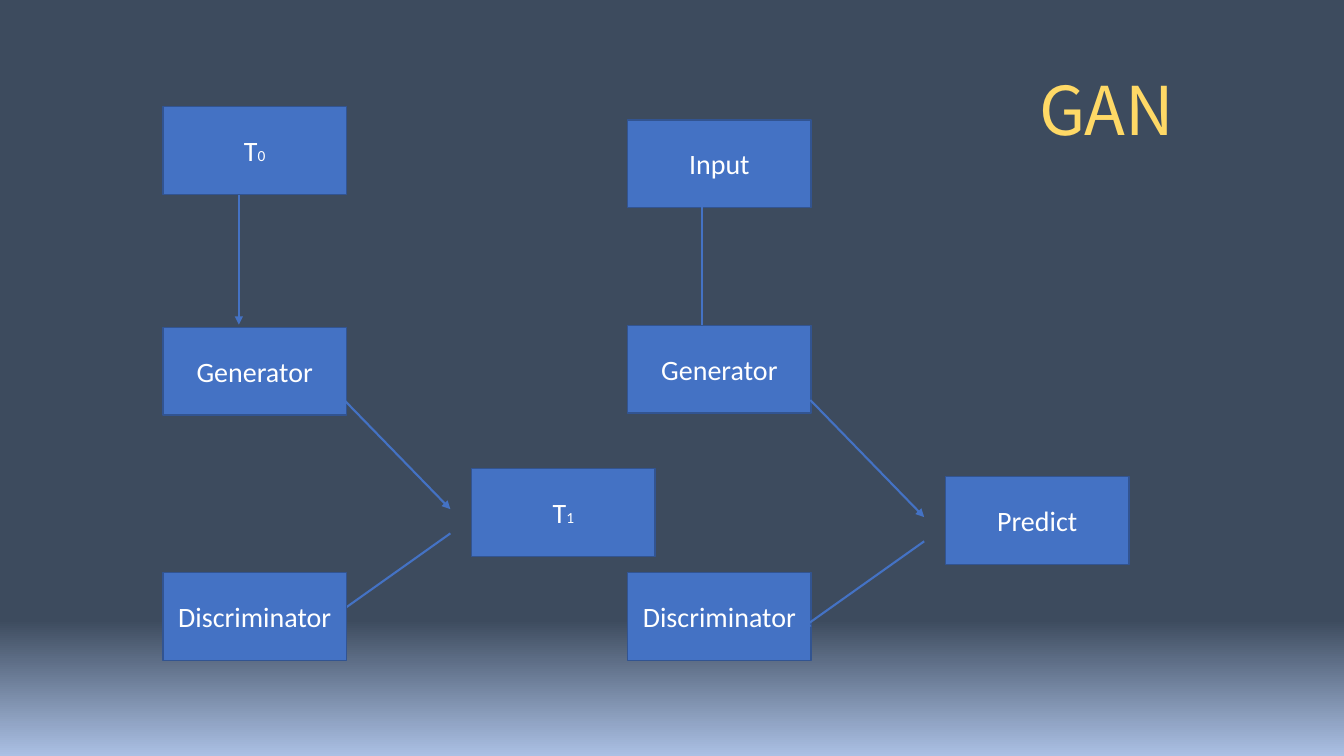
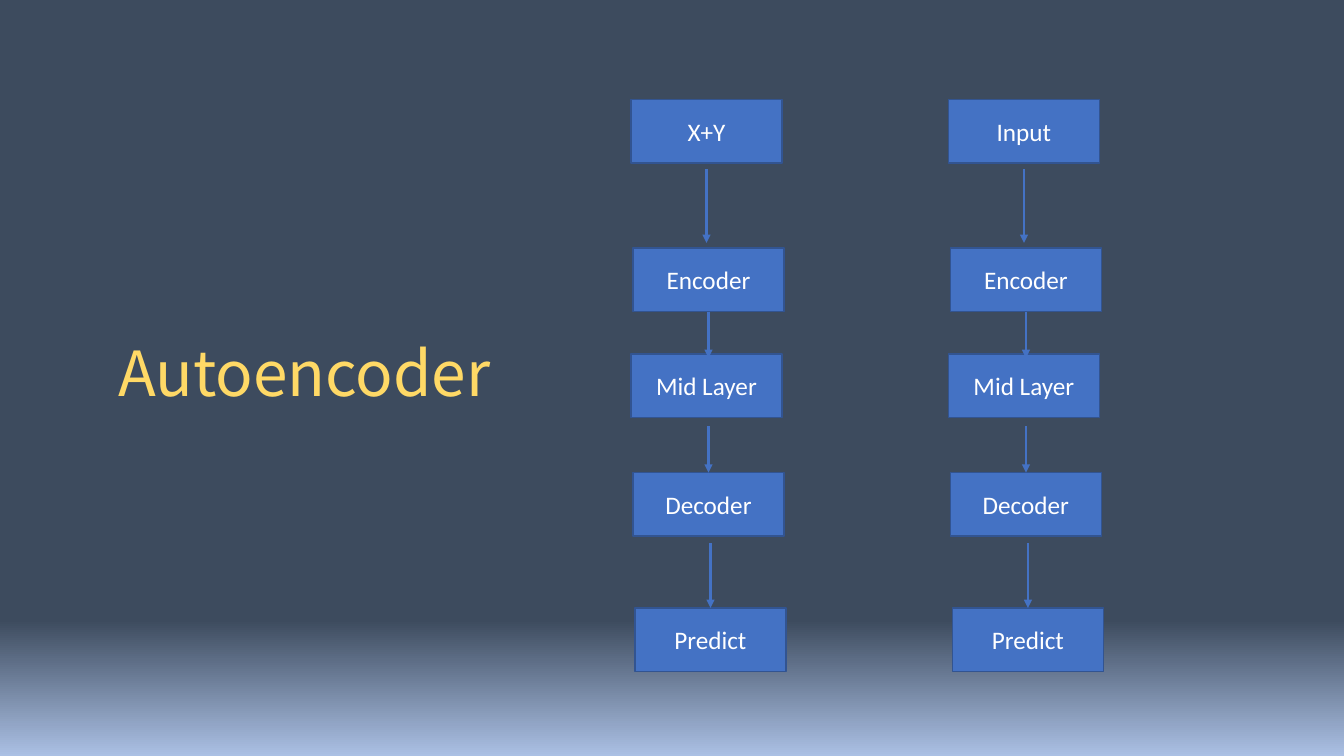
from dataclasses import dataclass
from typing import Any, Optional, Union

import lxml.etree
import pptx
import pptx.dml.color
import pptx.enum.shapes
import pptx.enum.text
import pptx.oxml.ns
import pptx.presentation
import pptx.shapes.autoshape
import pptx.shapes.connector
import pptx.slide
import pptx.util

Cm = pptx.util.Cm
Pt = pptx.util.Pt
qn = pptx.oxml.ns.qn

NIGHT, DAWN = "3D4B5E", "ABC0E4"
BLUE, EDGE, WHITE, GOLD = "4472C4", "325491", "FFFFFF", "FFD966"
LABEL_FONT, TITLE_FONT = "Calibri", "Noto Sans CJK TC"
SUBSCRIPT_SIZE = 11


@dataclass(frozen=True)
class Style:
    width: float
    height: float
    size: float


@dataclass(frozen=True)
class Block:
    label: str
    left: float
    top: float
    subscript: str = ""


@dataclass(frozen=True)
class Arrow:
    x1: float
    y1: float
    x2: float
    y2: float


@dataclass(frozen=True)
class Layer:
    label: str
    shift: float
    top: float


@dataclass(frozen=True)
class Step:
    shift: float
    top: float
    bottom: float
    source: Optional[str] = None
    target: Optional[str] = None


GAN_STYLE = Style(4.62, 2.21, 20)
TRAIN_LEFT, TEST_LEFT = 4.11, 15.82
GAN_PARTS: list[Union[Block, Arrow]] = [
    Block("Input", TEST_LEFT, 3.02),
    Arrow(17.7, 4.5, 17.7, 8.59),
    Block("Generator", TEST_LEFT, 8.2),
    Block("Predict", 23.83, 12.01),
    Arrow(20.42, 10.08, 23.29, 13.03),
    Block("Discriminator", TEST_LEFT, 14.43),
    Arrow(23.29, 13.64, 20.22, 15.82),
    Arrow(6.02, 4.09, 6.02, 8.18),
    Block("Generator", TRAIN_LEFT, 8.25),
    Block("T", 11.89, 11.81, "1"),
    Arrow(8.48, 9.88, 11.35, 12.83),
    Arrow(11.35, 13.44, 8.28, 15.62),
    Block("Discriminator", TRAIN_LEFT, 14.43),
    Block("T", TRAIN_LEFT, 2.69, "0"),
]

LAYER_STYLE = Style(3.81, 1.6, 18)
COLUMNS = {"X+Y": 15.9, "Input": 23.9}
LAYERS = [
    Layer("Encoder", 0.05, 6.25),
    Layer("Mid Layer", 0, 8.92),
    Layer("Decoder", 0.05, 11.91),
    Layer("Predict", 0.1, 15.32),
]
STEPS = [
    Step(0, 4.27, 6.12),
    Step(0.05, 7.85, 9.02, source="Encoder"),
    Step(0.05, 10.74, 11.91, target="Decoder"),
    Step(0.1, 13.69, 15.32, target="Predict"),
]


def rgb(value: str) -> pptx.dml.color.RGBColor:
    return pptx.dml.color.RGBColor.from_string(value)


def apply(target: Any, values: dict[str, Any]) -> None:
    for name, value in values.items():
        setattr(target, name, value)


def set_font(font: Any, name: str, size: float, color: str) -> None:
    apply(font, {"name": name, "size": Pt(size), "bold": False})
    font.color.rgb = rgb(color)


def paint_background(deck: pptx.presentation.Presentation) -> None:
    fill = deck.slide_master.background.fill
    fill.gradient()
    fill.gradient_angle = 270
    for stop, position, color in zip(fill.gradient_stops, (0.82, 1.0), (NIGHT, DAWN)):
        stop.position = position
        stop.color.rgb = rgb(color)


def add_titled_slide(
    deck: pptx.presentation.Presentation,
    heading: str,
    left: float,
    top: float,
    width: float,
    size: float,
) -> pptx.slide.Slide:
    slide = deck.slides.add_slide(deck.slide_layouts[5])
    title = slide.shapes.title
    apply(title, {"left": Cm(left), "top": Cm(top), "width": Cm(width), "height": Cm(3.33)})
    frame = title.text_frame
    frame.text = heading
    apply(frame, {
        "word_wrap": True,
        "auto_size": pptx.enum.text.MSO_AUTO_SIZE.NONE,
        "vertical_anchor": pptx.enum.text.MSO_ANCHOR.MIDDLE,
    })
    paragraph = frame.paragraphs[0]
    apply(paragraph, {"alignment": pptx.enum.text.PP_ALIGN.LEFT, "line_spacing": 0.9})
    set_font(paragraph.runs[0].font, TITLE_FONT, size, GOLD)
    return slide


def add_block(
    slide: pptx.slide.Slide, block: Block, style: Style
) -> pptx.shapes.autoshape.Shape:
    shape = slide.shapes.add_shape(
        pptx.enum.shapes.MSO_SHAPE.RECTANGLE,
        Cm(block.left), Cm(block.top), Cm(style.width), Cm(style.height),
    )
    shape.shadow.inherit = False
    shape.fill.solid()
    shape.fill.fore_color.rgb = rgb(BLUE)
    shape.line.color.rgb = rgb(EDGE)
    shape.line.width = Pt(1)
    apply(shape.text_frame, {
        "word_wrap": True,
        "vertical_anchor": pptx.enum.text.MSO_ANCHOR.MIDDLE,
    })
    paragraph = shape.text_frame.paragraphs[0]
    paragraph.alignment = pptx.enum.text.PP_ALIGN.CENTER
    for text, size in ((block.label, style.size), (block.subscript, SUBSCRIPT_SIZE)):
        if text:
            run = paragraph.add_run()
            run.text = text
            set_font(run.font, LABEL_FONT, size, WHITE)
    return shape


def add_arrow(slide: pptx.slide.Slide, arrow: Arrow) -> pptx.shapes.connector.Connector:
    connector = slide.shapes.add_connector(
        pptx.enum.shapes.MSO_CONNECTOR.STRAIGHT,
        Cm(arrow.x1), Cm(arrow.y1), Cm(arrow.x2), Cm(arrow.y2),
    )
    connector.line.color.rgb = rgb(BLUE)
    connector.line.width = Pt(1.5)
    properties = connector._element.spPr
    lxml.etree.SubElement(properties.find(qn("a:ln")), qn("a:tailEnd"), type="triangle")
    lxml.etree.SubElement(properties, qn("a:effectLst"))
    return connector


def build_gan(deck: pptx.presentation.Presentation) -> None:
    slide = add_titled_slide(deck, "GAN", 25.93, 1.19, 4.62, 48)
    for part in GAN_PARTS:
        if isinstance(part, Block):
            add_block(slide, part, GAN_STYLE)
        else:
            add_arrow(slide, part)


def add_network(slide: pptx.slide.Slide, source: str, left: float) -> None:
    blocks = {
        layer.label: add_block(
            slide, Block(layer.label, left + layer.shift, layer.top), LAYER_STYLE
        )
        for layer in [Layer(source, 0, 2.51), *LAYERS]
    }
    for step in STEPS:
        center = left + step.shift + LAYER_STYLE.width / 2
        connector = add_arrow(slide, Arrow(center, step.top, center, step.bottom))
        if step.source:
            connector.begin_connect(blocks[step.source], 2)
        if step.target:
            connector.end_connect(blocks[step.target], 0)


def build_autoencoder(deck: pptx.presentation.Presentation) -> None:
    slide = add_titled_slide(deck, "Autoencoder", 2.72, 7.82, 11.38, 44.4)
    for source, left in COLUMNS.items():
        add_network(slide, source, left)


def main() -> None:
    deck = pptx.Presentation()
    apply(deck, {"slide_width": Cm(33.87), "slide_height": Cm(19.05)})
    paint_background(deck)
    build_gan(deck)
    build_autoencoder(deck)
    deck.save("out.pptx")


if __name__ == "__main__":
    main()
